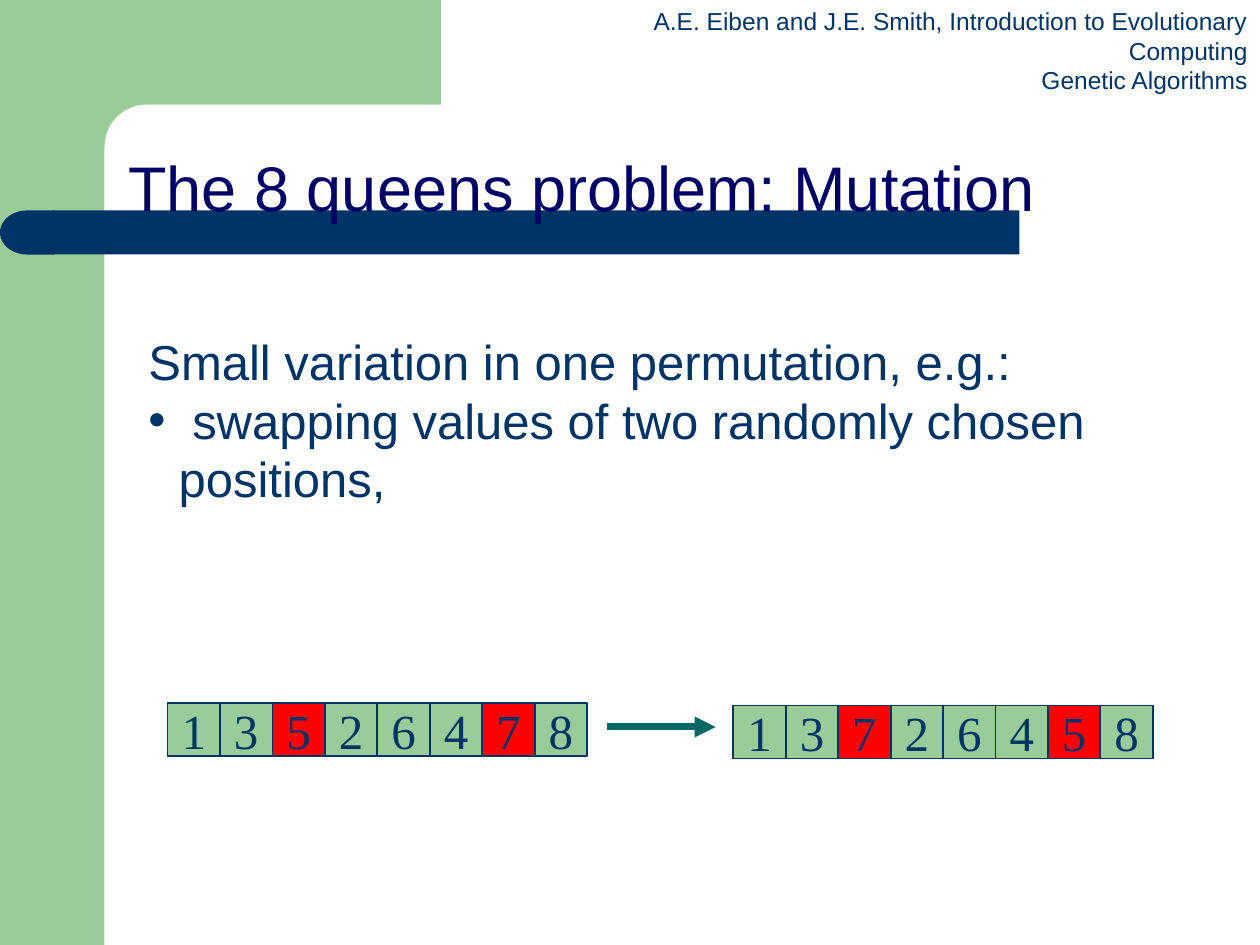
from lxml import etree
from pptx import Presentation
from pptx.dml.color import RGBColor
from pptx.enum.shapes import MSO_CONNECTOR, MSO_SHAPE as SHAPE
from pptx.enum.text import MSO_ANCHOR as ANCHOR, MSO_AUTO_SIZE as FIT, PP_ALIGN as ALIGN
from pptx.oxml.ns import qn
from pptx.util import Inches, Pt

GREEN, NAVY, WHITE = "99CC99", "003366", "FFFFFF"
RED, TEAL, TITLE_BLUE = "FF0000", "006666", "000066"


def color(hex_string):
    return RGBColor.from_string(hex_string)


def add_block(slide, kind, box, fill, outline=None):
    block = slide.shapes.add_shape(kind, *map(Inches, box))
    block.shadow.inherit = False
    block.fill.solid()
    block.fill.fore_color.rgb = color(fill)
    if outline:
        block.line.color.rgb = color(outline)
        block.line.width = Pt(1)
    else:
        block.line.fill.background()
    return block


def add_run(paragraph, text, size, font="Arial", fill=NAVY):
    run = paragraph.add_run()
    run.text = text
    run.font.size = Pt(size)
    run.font.name = font
    run.font.color.rgb = color(fill)


def add_text_frame(slide, box):
    frame = slide.shapes.add_textbox(*map(Inches, box)).text_frame
    frame.word_wrap = True
    return frame


def add_backdrop(slide):
    add_block(slide, SHAPE.RECTANGLE, (0, 0, 0.83, 7.5), GREEN)
    add_block(slide, SHAPE.RECTANGLE, (0.75, 0, 2.75, 1.17), GREEN)
    panel = add_block(slide, SHAPE.ROUNDED_RECTANGLE, (0.83, 0.83, 5.58, 0.67), WHITE)
    panel.adjustments[0] = 0.5
    # Title bar with a rounded left end
    add_block(slide, SHAPE.RECTANGLE, (0.42, 1.67, 7.67, 0.35), NAVY)
    bar_end = add_block(slide, SHAPE.FLOWCHART_DELAY, (0, 1.67, 0.43, 0.35), NAVY)
    bar_end.rotation = 180


def add_header(slide, box):
    frame = add_text_frame(slide, box)
    source = frame.paragraphs[0]
    chapter = frame.add_paragraph()
    add_run(source, "A.E. Eiben and J.E. Smith, Introduction to Evolutionary Computing", 14)
    add_run(chapter, "Genetic Algorithms", 14)
    source.alignment = chapter.alignment = ALIGN.RIGHT


def set_title(slide, box, text):
    title = slide.shapes.title
    title.left, title.top, title.width, title.height = map(Inches, box)
    # Bring the title in front of the bar
    slide.shapes._spTree.append(title._element)
    frame = title.text_frame
    frame.auto_size = FIT.NONE
    frame.word_wrap = True
    frame.vertical_anchor = ANCHOR.BOTTOM
    heading = frame.paragraphs[0]
    heading.alignment = ALIGN.LEFT
    heading.line_spacing = 1.5
    add_run(heading, text, 36, fill=TITLE_BLUE)


def add_explanation(slide, box):
    frame = add_text_frame(slide, box)
    add_run(frame.paragraphs[0], "Small variation in one permutation, e.g.:", 28)
    swap = frame.add_paragraph()
    properties = swap._p.get_or_add_pPr()
    indent = Inches(0.24)
    properties.set("marL", str(indent))
    properties.set("indent", str(-indent))
    etree.SubElement(properties, qn("a:buFont"), typeface="Arial")
    etree.SubElement(properties, qn("a:buChar"), char="•")
    add_run(swap, " swapping values of two randomly chosen positions,", 28)


def add_permutation(slide, box, genes, swapped):
    left, top, width, height = box
    pitch = width / len(genes)
    for position, gene in enumerate(genes):
        cell_box = (left + position * pitch, top, pitch, height)
        fill = RED if gene in swapped else GREEN
        cell = add_block(slide, SHAPE.RECTANGLE, cell_box, fill, NAVY)
        frame = cell.text_frame
        frame.margin_left = frame.margin_right = 0
        frame.margin_top = frame.margin_bottom = 0
        frame.word_wrap = False
        frame.vertical_anchor = ANCHOR.MIDDLE
        frame.paragraphs[0].alignment = ALIGN.CENTER
        add_run(frame.paragraphs[0], gene, 28, "Times New Roman")


def add_arrow(slide, start, end):
    arrow = slide.shapes.add_connector(
        MSO_CONNECTOR.STRAIGHT, *map(Inches, start + end))
    arrow.line.color.rgb = color(TEAL)
    arrow.line.width = Pt(4)
    etree.SubElement(arrow.line._get_or_add_ln(), qn("a:tailEnd"), type="triangle")
    etree.SubElement(arrow._element.spPr, qn("a:effectLst"))


def main():
    deck = Presentation()
    deck.slide_width, deck.slide_height = Inches(10), Inches(7.5)
    slide = deck.slides.add_slide(deck.slide_layouts[5])

    add_backdrop(slide)
    add_header(slide, (4.12, 0, 5.88, 0.57))
    set_title(slide, (0.92, 0.83, 9.08, 1), "The 8 queens problem: Mutation")
    add_explanation(slide, (1.08, 2.58, 8.17, 0.96))

    # Mutation: the two red values change places
    add_permutation(slide, (1.33, 5.58, 3.33, 0.42), "13526478", "57")
    add_arrow(slide, (4.82, 5.77), (5.68, 5.77))
    add_permutation(slide, (5.82, 5.6, 3.33, 0.42), "13726458", "57")

    deck.save("out.pptx")


if __name__ == "__main__":
    main()
